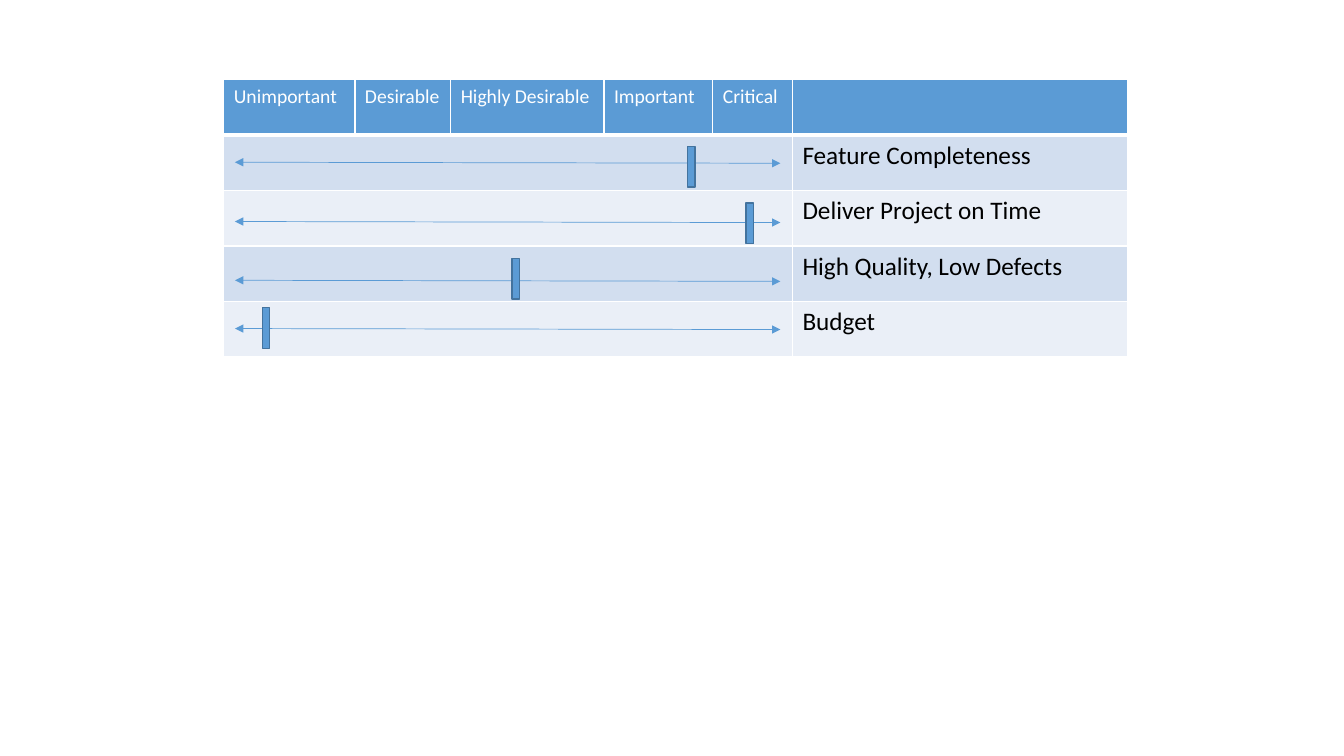
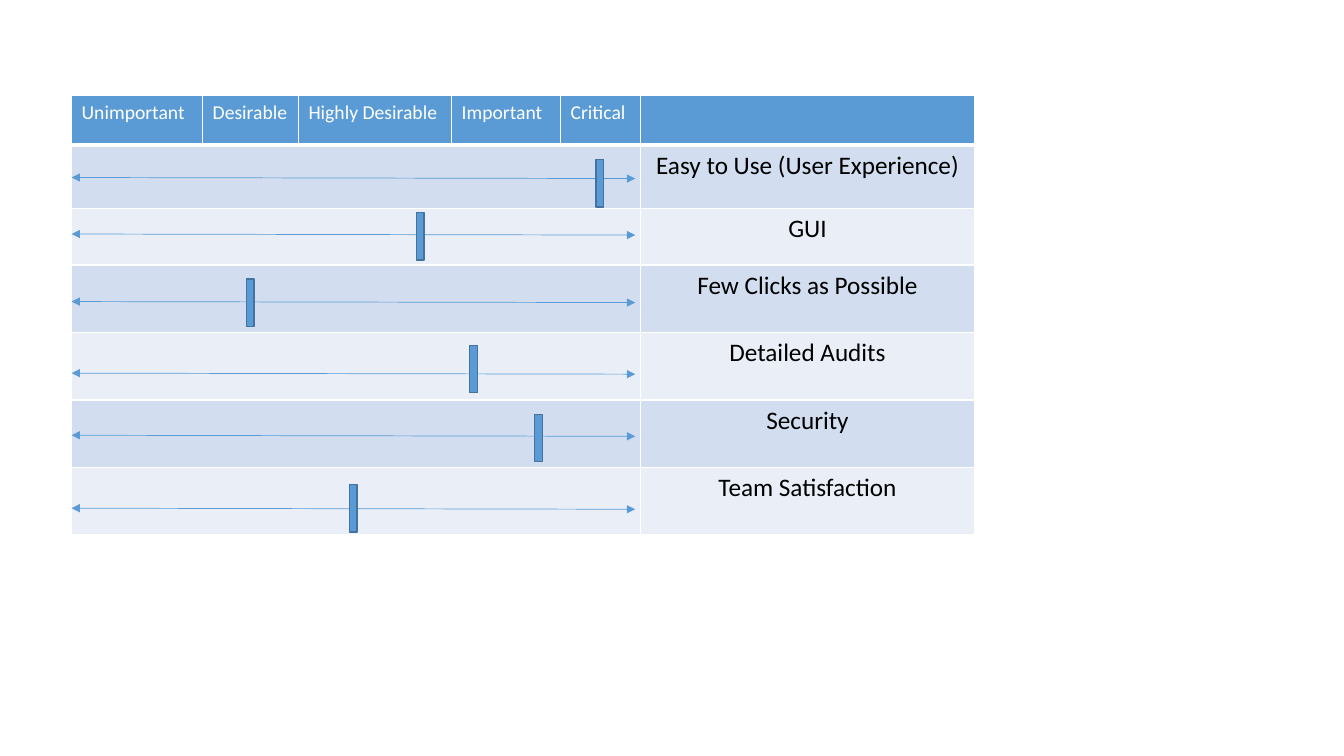
from itertools import accumulate
from lxml.etree import SubElement
from pptx import Presentation
from pptx.dml.color import RGBColor
from pptx.enum.shapes import MSO_CONNECTOR, MSO_SHAPE
from pptx.enum.text import PP_ALIGN
from pptx.oxml.ns import qn
from pptx.util import Inches, Pt

COLORS = {"accent": "5B9BD5", "edge": "43739E", "dark_band": "D2DEEF",
          "light_band": "EAEFF7", "white": "FFFFFF", "black": "000000"}
FONT = "Calibri"
LEVELS = ["Unimportant", "Desirable", "Highly Desirable", "Important", "Critical"]
COLUMNS = [1.3, 0.95, 1.52, 1.08, 0.79, 3.32]
SCALE_WIDTH = sum(COLUMNS[:-1])
ARROW_DROP = 0.01

# Each goal: label, row height, rating in percent of the scale,
# then arrow and marker centres as shares of the row height.
BOARDS = [
    {"origin": (2.22, 0.79), "header": 0.55, "align": PP_ALIGN.LEFT,
     "arrow": (0.11, 5.52), "marker": (0.55, 0.31),
     "goals": [
         ("Feature Completeness", 0.55, 82.2, 0.49, 0.57),
         ("Deliver Project on Time", 0.55, 92.5, 0.56, 0.59),
         ("High Quality, Low Defects", 0.55, 51.3, 0.62, 0.59),
         ("Budget", 0.55, 7.4, 0.49, 0.48)]},
    {"origin": (0.71, 0.95), "header": 0.49, "align": PP_ALIGN.CENTER,
     "arrow": (0, 5.59), "marker": (0.64, 0.33),
     "goals": [
         ("Easy to Use (User Experience)", 0.63, 92.9, 0.51, 0.6),
         ("GUI", 0.56, 61.3, 0.45, 0.49),
         ("Few Clicks as Possible", 0.67, 31.4, 0.54, 0.56),
         ("Detailed Audits", 0.67, 70.7, 0.6, 0.54),
         ("Security", 0.67, 82.1, 0.52, 0.56),
         ("Team Satisfaction", 0.67, 49.5, 0.6, 0.6)]},
]


def rgb(name):
    return RGBColor.from_string(COLORS[name])


def style_cell(cell, band, top, bottom):
    properties = cell._tc.get_or_add_tcPr()
    for side, width in (("L", 1), ("R", 1), ("T", top), ("B", bottom)):
        border = SubElement(properties, qn(f"a:ln{side}"), w=str(Pt(width)))
        paint = SubElement(border, qn("a:solidFill"))
        SubElement(paint, qn("a:srgbClr"), val=COLORS["white"])
    cell.fill.solid()
    cell.fill.fore_color.rgb = rgb(band)


def write(cell, text, size, color, align):
    cell.text = text
    paragraph = cell.text_frame.paragraphs[0]
    paragraph.alignment = align
    paragraph.font.name = FONT
    paragraph.font.size = Pt(size)
    paragraph.font.color.rgb = rgb(color)


def add_grid(slide, board):
    heights = [board["header"]] + [goal[1] for goal in board["goals"]]
    left, top = board["origin"]
    table = slide.shapes.add_table(
        len(heights), len(COLUMNS), Inches(left), Inches(top),
        Inches(sum(COLUMNS)), Inches(sum(heights))).table
    table.first_row = table.horz_banding = False
    for column, width in zip(table.columns, COLUMNS):
        column.width = Inches(width)
    for index, height in enumerate(heights):
        table.rows[index].height = Inches(height)
        band = ("light_band", "dark_band")[index % 2] if index else "accent"
        for cell in table.rows[index].cells:
            style_cell(cell, band, 3 if index == 1 else 1, 1 if index else 3)
    for column, level in enumerate(LEVELS):
        write(table.cell(0, column), level, 14, "white", PP_ALIGN.LEFT)
    for row, goal in enumerate(board["goals"], 1):
        table.cell(row, 0).merge(table.cell(row, len(LEVELS) - 1))
        write(table.cell(row, len(LEVELS)), goal[0], 18, "black", board["align"])
    return [top + offset for offset in accumulate(heights)]


def add_arrow(slide, start, end, y):
    arrow = slide.shapes.add_connector(
        MSO_CONNECTOR.STRAIGHT, Inches(start), Inches(y),
        Inches(end), Inches(y + ARROW_DROP))
    arrow.line.color.rgb = rgb("accent")
    arrow.line.width = Pt(0.5)
    outline = arrow.line._get_or_add_ln()
    for tip in ("a:headEnd", "a:tailEnd"):
        SubElement(outline, qn(tip), type="triangle")
    SubElement(arrow._element.spPr, qn("a:effectLst"))


def add_marker(slide, x, y, size):
    width, height = size
    marker = slide.shapes.add_shape(
        MSO_SHAPE.MATH_MINUS, Inches(x - width / 2), Inches(y - height / 2),
        Inches(width), Inches(height))
    marker.rotation = 90
    marker.shadow.inherit = False
    marker.fill.solid()
    marker.fill.fore_color.rgb = rgb("accent")
    marker.line.color.rgb = rgb("edge")
    marker.line.width = Pt(1)


deck = Presentation()
deck.slide_width, deck.slide_height = Inches(13.33), Inches(7.5)
for board in BOARDS:
    slide = deck.slides.add_slide(deck.slide_layouts[6])
    row_tops = add_grid(slide, board)
    left = board["origin"][0]
    start, end = board["arrow"]
    rows = list(zip(row_tops, board["goals"]))
    for top, (_, height, _, arrow_share, _) in rows:
        add_arrow(slide, left + start, left + end, top + height * arrow_share)
    for top, (_, height, rating, _, marker_share) in rows:
        add_marker(slide, left + SCALE_WIDTH * rating / 100,
                   top + height * marker_share, board["marker"])
deck.save("out.pptx")
